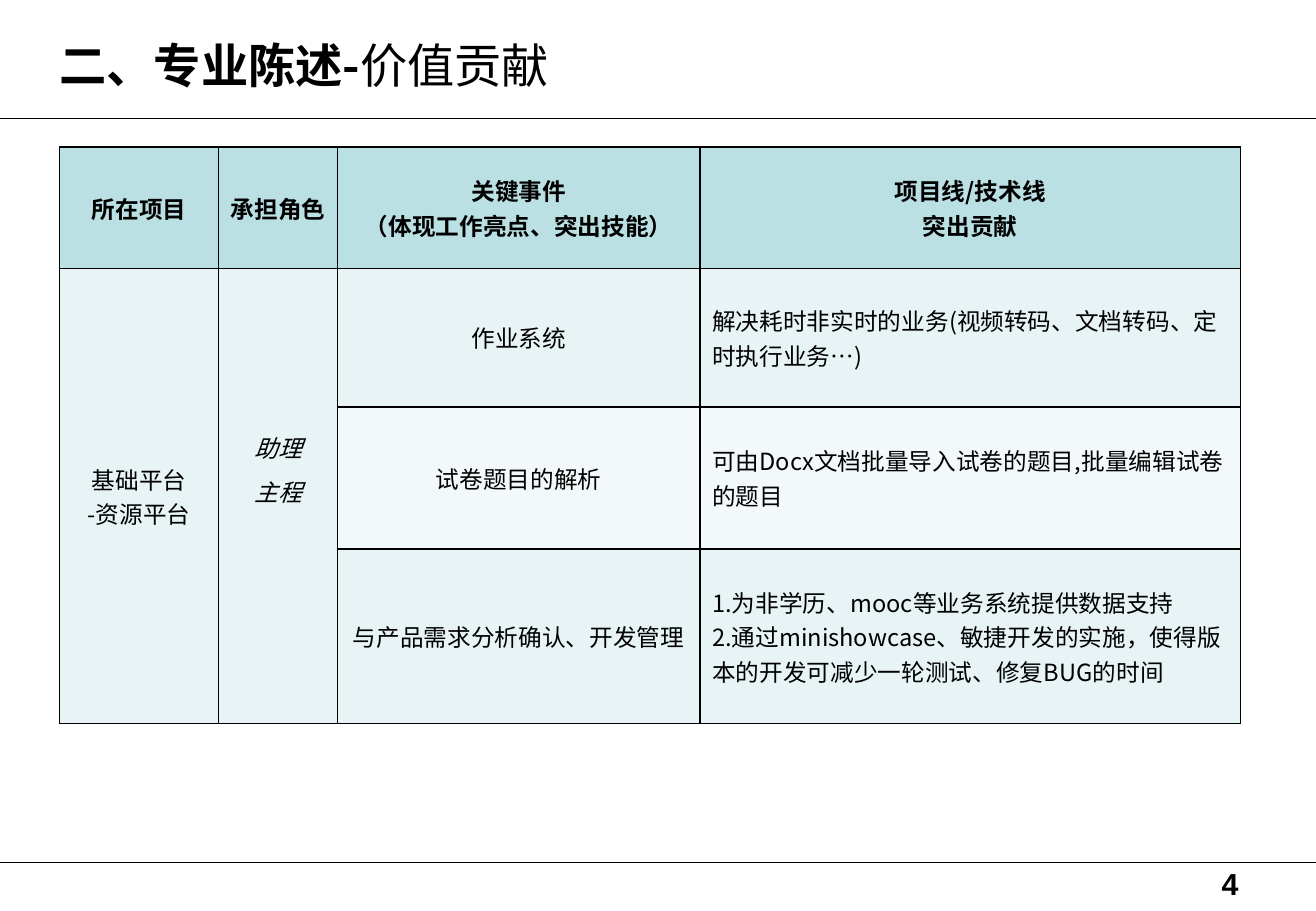
import dataclasses

import lxml.etree
import pptx
import pptx.dml.color
import pptx.enum.shapes
import pptx.enum.text
import pptx.oxml.ns
import pptx.util

ALIGN = pptx.enum.text.PP_ALIGN
MIDDLE = pptx.enum.text.MSO_ANCHOR.MIDDLE
qn = pptx.oxml.ns.qn


@dataclasses.dataclass(frozen=True)
class Theme:
    """Hold the colours, fonts, type sizes and slide size in inches."""
    width: float = 10.83
    height: float = 7.5
    ink: str = "000000"
    header: str = "BBE0E3"
    band: str = "E7F3F4"
    pale: str = "F3F9FA"
    cjk: str = "Noto Sans CJK SC"
    latin: str = "Arial"
    title: int = 28
    body: int = 14
    number: int = 18
    rule: float = 0.25
    border: float = 1


T = Theme()
COLUMNS = [12.1, 9.05, 27.52, 41.09]
ROWS = [13.33, 15.2, 15.6, 19.2]
FILLS = [T.header, T.band, T.pale, T.band]
HEADERS = ["所在项目", "承担角色", "关键事件\n（体现工作亮点、突出技能）", "项目线/技术线\n突出贡献"]
PROJECT = "基础平台\n-资源平台"
ROLE = "助理\n主程"
EVENTS = [
    ("作业系统", "解决耗时非实时的业务(视频转码、文档转码、定时执行业务…)"),
    ("试卷题目的解析", "可由Docx文档批量导入试卷的题目,批量编辑试卷的题目"),
    ("与产品需求分析确认、开发管理",
     "1.为非学历、mooc等业务系统提供数据支持\n"
     "2.通过minishowcase、敏捷开发的实施，使得版本的开发可减少一轮测试、修复BUG的时间"),
]


def px(share):
    """Turn a percentage of the slide width into a length."""
    return pptx.util.Inches(T.width * share / 100)


def py(share):
    """Turn a percentage of the slide height into a length."""
    return pptx.util.Inches(T.height * share / 100)


def box(x, y, w, h):
    """Turn four percentages into left, top, width and height."""
    return px(x), py(y), px(w), py(h)


def apply(obj, formats):
    """Set every attribute named in a dict of format values."""
    for name, value in formats.items():
        setattr(obj, name, value)


def add_run(p, text, size, font=T.cjk, **formats):
    """Add a formatted run with matching Latin and East Asian fonts."""
    r = p.add_run()
    r.text = text
    apply(r.font, {"name": font, "size": pptx.util.Pt(size), **formats})
    r.font.color.rgb = pptx.dml.color.RGBColor.from_string(T.ink)
    lxml.etree.SubElement(r.font._element, qn("a:ea"), typeface=font)


def add_rule(s, y):
    """Draw a thin line across the whole slide."""
    line = s.shapes.add_connector(
        pptx.enum.shapes.MSO_CONNECTOR.STRAIGHT, 0, py(y), px(100), py(y))
    line.line.width = pptx.util.Pt(T.rule)
    line.line.color.rgb = pptx.dml.color.RGBColor.from_string(T.ink)
    lxml.etree.SubElement(line._element.spPr, qn("a:effectLst"))


def add_title(s, strong, plain):
    """Place the title with a bold and a regular part."""
    sp = s.shapes.title
    apply(sp, dict(zip(("left", "top", "width", "height"), box(3.6, 2.8, 90.03, 8.67))))
    apply(sp.text_frame, {"vertical_anchor": MIDDLE, "word_wrap": True})
    p = sp.text_frame.paragraphs[0]
    p.alignment = ALIGN.LEFT
    add_run(p, strong, T.title, bold=True)
    add_run(p, plain, T.title, bold=False)


def add_number(s, text):
    """Place the page number at the bottom right."""
    tf = s.shapes.add_textbox(*box(89.29, 94.67, 5.72, 4.53)).text_frame
    apply(tf, {"word_wrap": True, "vertical_anchor": MIDDLE})
    p = tf.paragraphs[0]
    p.alignment = ALIGN.RIGHT
    add_run(p, text, T.number, T.latin, bold=True)


def style_cell(cell, fill):
    """Fill a cell, centre it vertically and draw its four borders."""
    cell.vertical_anchor = MIDDLE
    cell.fill.solid()
    cell.fill.fore_color.rgb = pptx.dml.color.RGBColor.from_string(fill)
    tc_pr = cell._tc.get_or_add_tcPr()
    for i, side in enumerate(("lnL", "lnR", "lnT", "lnB")):
        ln = tc_pr.makeelement(qn("a:" + side), {"w": str(pptx.util.Pt(T.border))})
        solid = lxml.etree.SubElement(ln, qn("a:solidFill"))
        lxml.etree.SubElement(solid, qn("a:srgbClr"), val=T.ink)
        tc_pr.insert(i, ln)


def write_cell(cell, text, align=ALIGN.CENTER, spacing=None, **formats):
    """Write one paragraph per line of text into a cell."""
    tf = cell.text_frame
    for i, line in enumerate(text.split("\n")):
        p = tf.add_paragraph() if i else tf.paragraphs[0]
        apply(p, {"alignment": align, **(spacing or {})})
        add_run(p, line, T.body, **{"bold": False, **formats})


def add_contributions(s):
    """Build the table of projects, roles, events and contributions."""
    table = s.shapes.add_table(
        len(ROWS), len(COLUMNS), *box(4.52, 16.13, sum(COLUMNS), sum(ROWS))).table
    for column, share in zip(table.columns, COLUMNS):
        column.width = px(share)
    for i, (row, share) in enumerate(zip(table.rows, ROWS)):
        row.height = py(share)
        for j, cell in enumerate(row.cells):
            style_cell(cell, FILLS[i] if j > 1 or i == 0 else T.band)
    for j, text in enumerate(HEADERS):
        write_cell(table.cell(0, j), text, bold=True)
    for j in (0, 1):
        table.cell(1, j).merge(table.cell(len(ROWS) - 1, j))
    write_cell(table.cell(1, 0), PROJECT)
    role = table.cell(1, 1)
    role.margin_bottom = py(7.33)
    write_cell(role, ROLE, italic=True,
               spacing={"line_spacing": 1.2, "space_before": pptx.util.Pt(1.4)})
    for i, (event, contribution) in enumerate(EVENTS, 1):
        write_cell(table.cell(i, 2), event)
        write_cell(table.cell(i, 3), contribution, ALIGN.LEFT)


def main():
    """Build the slide and save it."""
    prs = pptx.Presentation()
    apply(prs, {"slide_width": px(100), "slide_height": py(100)})
    s = prs.slides.add_slide(prs.slide_layouts[5])
    for y in (12.93, 94.67):
        add_rule(s, y)
    add_title(s, "二、专业陈述-", "价值贡献")
    add_number(s, "4")
    add_contributions(s)
    prs.save("out.pptx")


main()
